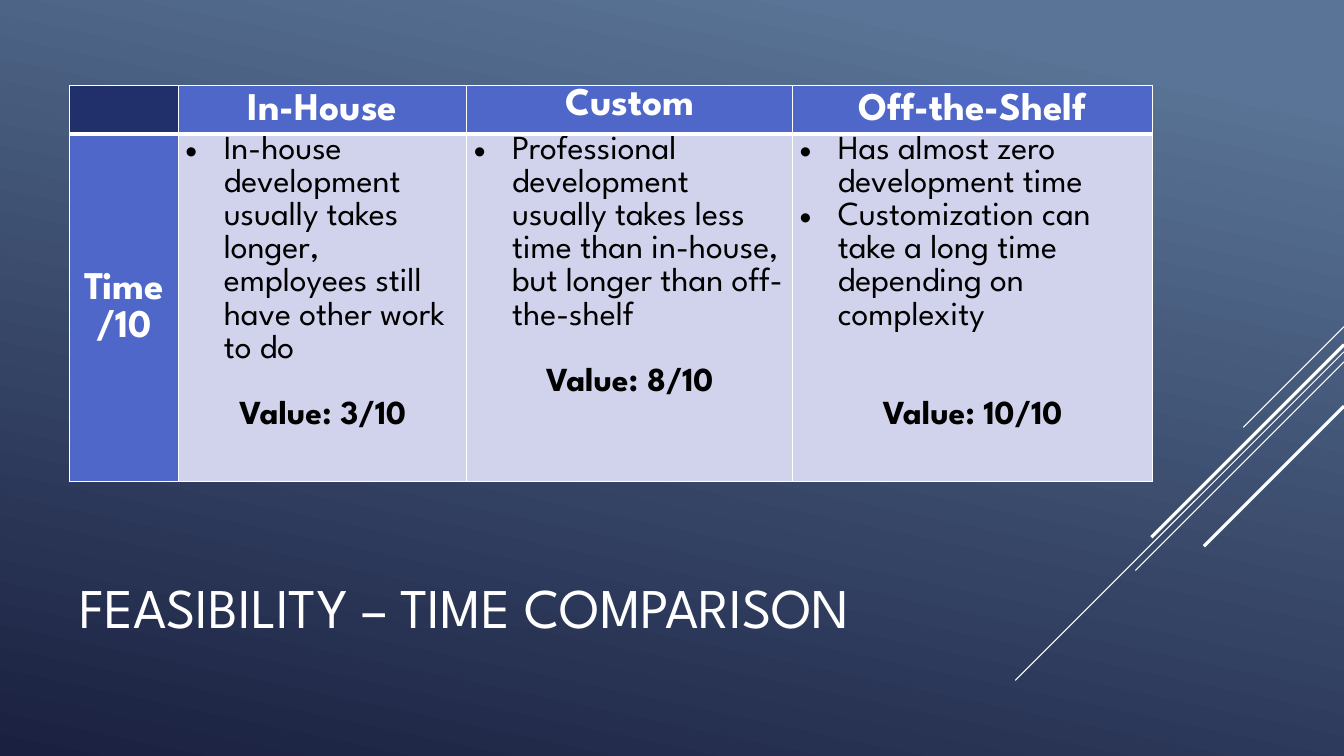
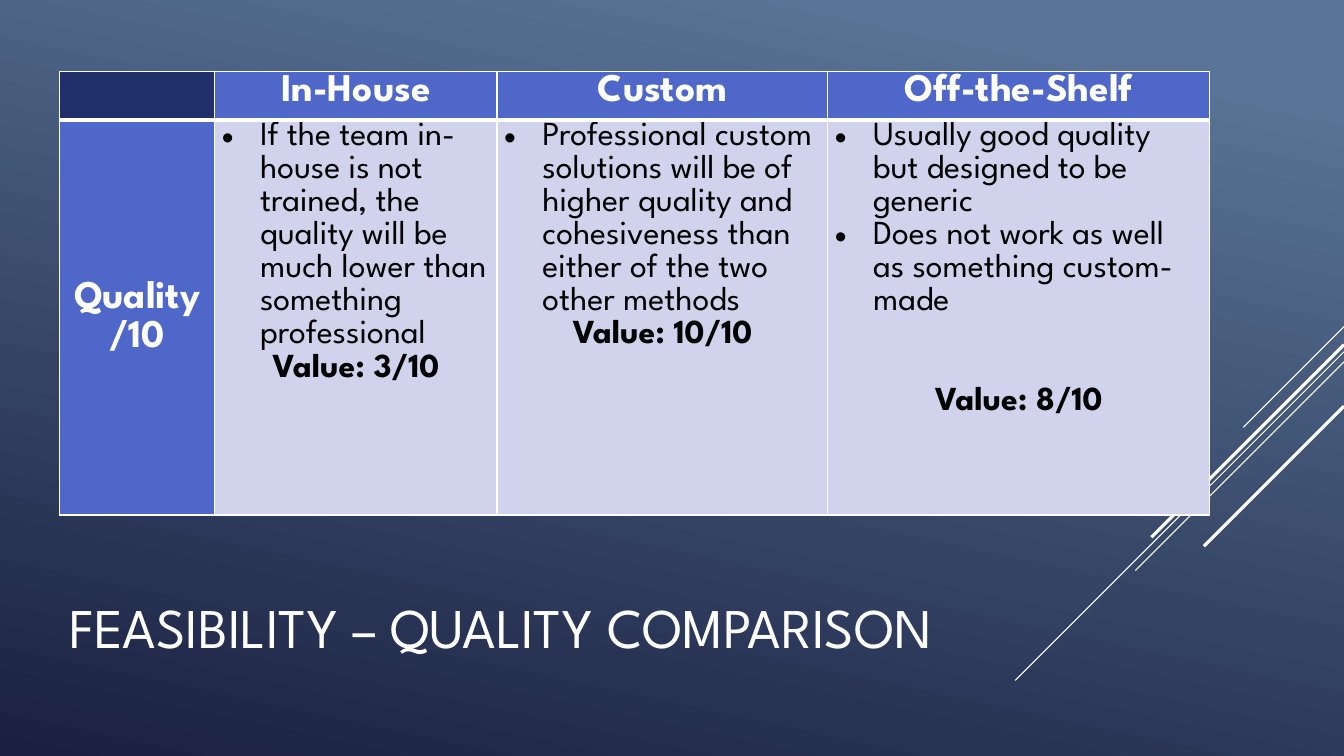
"""Build two feasibility comparison slides with a shared gradient master."""
from pptx import Presentation
from pptx.dml.color import RGBColor
from pptx.enum.shapes import MSO_CONNECTOR
from pptx.enum.text import MSO_ANCHOR, MSO_AUTO_SIZE, PP_ALIGN
from pptx.oxml.ns import qn
from pptx.util import Inches, Pt
from lxml.etree import SubElement

FONT = "League Spartan"
WHITE, BLACK = "FFFFFF", "000000"
CORNER, HEADER, BODY = "21306A", "4E67C8", "D0D3EB"
GRADIENT = [(0.1, "597496"), (1, "1A2040")]
LINE_SPACING = 1.07
BLANK_LINE = 23.6
TOP, MIDDLE = MSO_ANCHOR.TOP, MSO_ANCHOR.MIDDLE
HEADINGS = ["In-House", "Custom", "Off-the-Shelf"]

RIGHT_EDGE = 13.33
DIAGONALS = [
    (3.24, 1.0, 0.75), (3.49, 3.26, 0.75), (3.59, 2.07, 0.75),
    (3.42, 1.91, 2.25), (4.03, 1.39, 2.25),
]

SLIDES = [
    {
        "title": "FEASIBILITY – TIME COMPARISON",
        "title_box": (0.69, 4.96, 10.46, 2.11),
        "corner": (0.69, 0.85),
        "cols": [1.08, 2.86, 3.23, 3.57],
        "rows": [0.48, 3.45],
        "anchors": [MIDDLE, TOP, MIDDLE],
        "criterion": ["Time", "/10"],
        "options": [
            (["In-house development usually takes longer, employees still "
              "have other work to do"], 1, "Value: 3/10"),
            (["Professional development usually takes less time than "
              "in-house, but longer than off-the-shelf"], 1, "Value: 8/10"),
            (["Has almost zero development time",
              "Customization can take a long time depending on complexity"],
             2, "Value: 10/10"),
        ],
    },
    {
        "title": "FEASIBILITY – QUALITY COMPARISON",
        "title_box": (0.59, 5.53, 12.04, 1.36),
        "corner": (0.59, 0.71),
        "cols": [1.54, 2.8, 3.28, 3.79],
        "rows": [0.48, 3.92],
        "anchors": [TOP, TOP, TOP],
        "criterion": ["Quality", "/10"],
        "options": [
            (["If the team in-house is not trained, the quality will be much "
              "lower than something professional"], 0, "Value: 3/10"),
            (["Professional custom solutions will be of higher quality and "
              "cohesiveness than either of the two other methods"],
             0, "Value: 10/10"),
            (["Usually good quality but designed to be generic",
              "Does not work as well as something custom-made"],
             2, "Value: 8/10"),
        ],
    },
]


def rgb(color):
    return RGBColor.from_string(color)


def set_font(p, size, color, bold=False):
    p.font.name, p.font.size, p.font.bold = FONT, Pt(size), bold
    p.font.color.rgb = rgb(color)


def set_background(master):
    fill = master.background.fill
    fill.gradient()
    fill.gradient_angle = 360 - 102
    for stop, (position, color) in zip(fill.gradient_stops, GRADIENT):
        stop.position = position
        stop.color.rgb = rgb(color)


def add_diagonals(master, s):
    for i, (y, run, width) in enumerate(DIAGONALS):
        line = s.shapes.add_connector(
            MSO_CONNECTOR.STRAIGHT, Inches(RIGHT_EDGE), Inches(y),
            Inches(RIGHT_EDGE - run), Inches(y + run))
        line.line.color.rgb = rgb(WHITE)
        line.line.width = Pt(width)
        SubElement(line.element.spPr, qn("a:effectLst"))
        line.element.xpath(".//p:cNvPr")[0].set("id", str(100 + i))
        master.shapes.element.append(line.element)


def add_title(s, text, box):
    sp = s.shapes.title
    sp.left, sp.top, sp.width, sp.height = map(Inches, box)
    tf = sp.text_frame
    tf.text = text
    tf.auto_size = MSO_AUTO_SIZE.NONE
    tf.vertical_anchor = MIDDLE
    p = tf.paragraphs[0]
    p.alignment = PP_ALIGN.LEFT
    set_font(p, 40, WHITE)


def style_cell(cell, fill, side, anchor=TOP, borders=()):
    cell.margin_left = cell.margin_right = Inches(side)
    cell.margin_top = cell.margin_bottom = 0
    cell.vertical_anchor = anchor
    tc_pr = cell._tc.get_or_add_tcPr()
    for edge, width in borders:
        ln = SubElement(tc_pr, qn(f"a:ln{edge}"), w=str(Pt(width)))
        solid = SubElement(ln, qn("a:solidFill"))
        SubElement(solid, qn("a:srgbClr"), val=WHITE)
    cell.fill.solid()
    cell.fill.fore_color.rgb = rgb(fill)


def write_cell(cell, lines, size, color, bold):
    tf = cell.text_frame
    tf.text = "\n".join(lines)
    for p in tf.paragraphs:
        p.alignment = PP_ALIGN.CENTER
        p.line_spacing = LINE_SPACING
        set_font(p, size, color, bold)


def write_option(cell, points, blanks, value):
    tf = cell.text_frame
    tf.text = "\n".join(points + [value])
    *bullets, last = tf.paragraphs
    for p in bullets:
        p_pr = p._p.get_or_add_pPr()
        p_pr.set("marL", str(Inches(0.38)))
        p_pr.set("indent", str(-Inches(0.38)))
        SubElement(p_pr, qn("a:buFont"), typeface="Arial")
        SubElement(p_pr, qn("a:buChar"), char="•")
        p.line_spacing = LINE_SPACING
        set_font(p, 24, BLACK)
    last.alignment = PP_ALIGN.CENTER
    last.line_spacing = LINE_SPACING
    if blanks:
        last.space_before = Pt(blanks * BLANK_LINE)
    set_font(last, 24, BLACK, True)


def add_comparison(s, data):
    cols, rows = data["cols"], data["rows"]
    left, top = data["corner"]
    table = s.shapes.add_table(
        len(rows), len(cols), Inches(left), Inches(top),
        Inches(sum(cols)), Inches(sum(rows))).table
    table.horz_banding = False
    for col, width in zip(table.columns, cols):
        col.width = Inches(width)
    for row, height in zip(table.rows, rows):
        row.height = Inches(height)

    head = [("L", 1), ("R", 1), ("T", 1), ("B", 3)]
    body = [("L", 1), ("R", 1), ("T", 3), ("B", 1)]
    style_cell(table.cell(0, 0), CORNER, 0.03, borders=head)
    criterion = table.cell(1, 0)
    style_cell(criterion, HEADER, 0.03, MIDDLE, body)
    write_cell(criterion, data["criterion"], 28, WHITE, True)
    columns = zip(HEADINGS, data["anchors"], data["options"])
    for c, (heading, anchor, option) in enumerate(columns, 1):
        style_cell(table.cell(0, c), HEADER, 0.03, anchor, head)
        write_cell(table.cell(0, c), [heading], 28, WHITE, True)
        style_cell(table.cell(1, c), BODY, 0.07, TOP, body)
        write_option(table.cell(1, c), *option)


def main():
    prs = Presentation()
    prs.slide_width, prs.slide_height = Inches(RIGHT_EDGE), Inches(7.5)
    master = prs.slide_master
    set_background(master)
    for data in SLIDES:
        s = prs.slides.add_slide(prs.slide_layouts[5])
        add_title(s, data["title"], data["title_box"])
        add_comparison(s, data)
    add_diagonals(master, prs.slides[0])
    prs.save("out.pptx")


if __name__ == "__main__":
    main()
